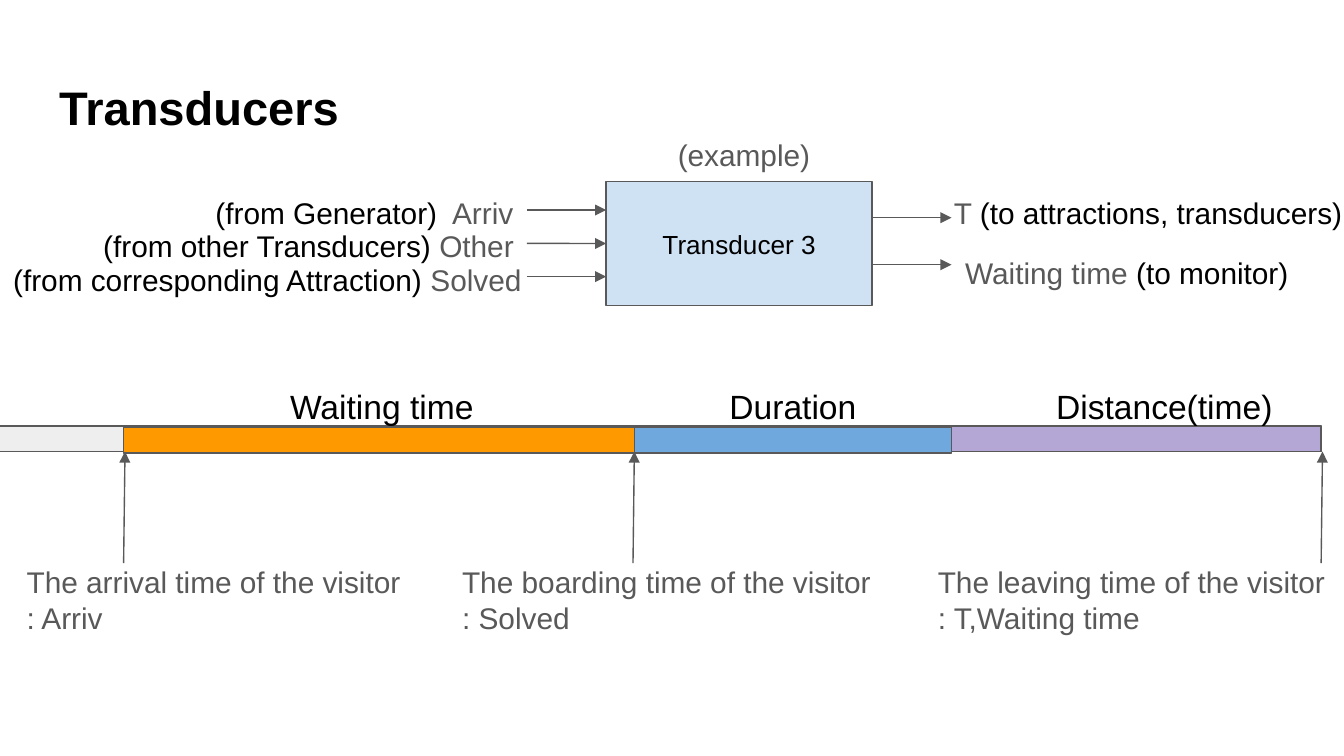
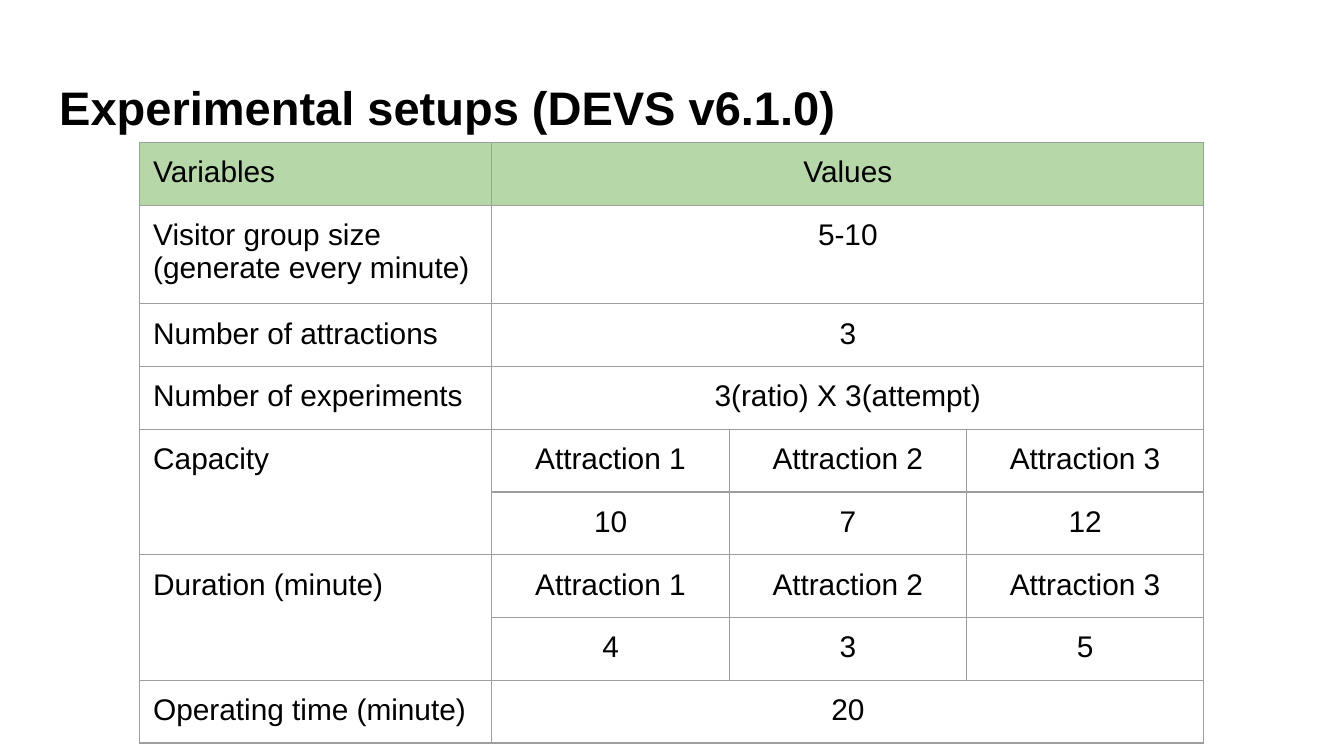
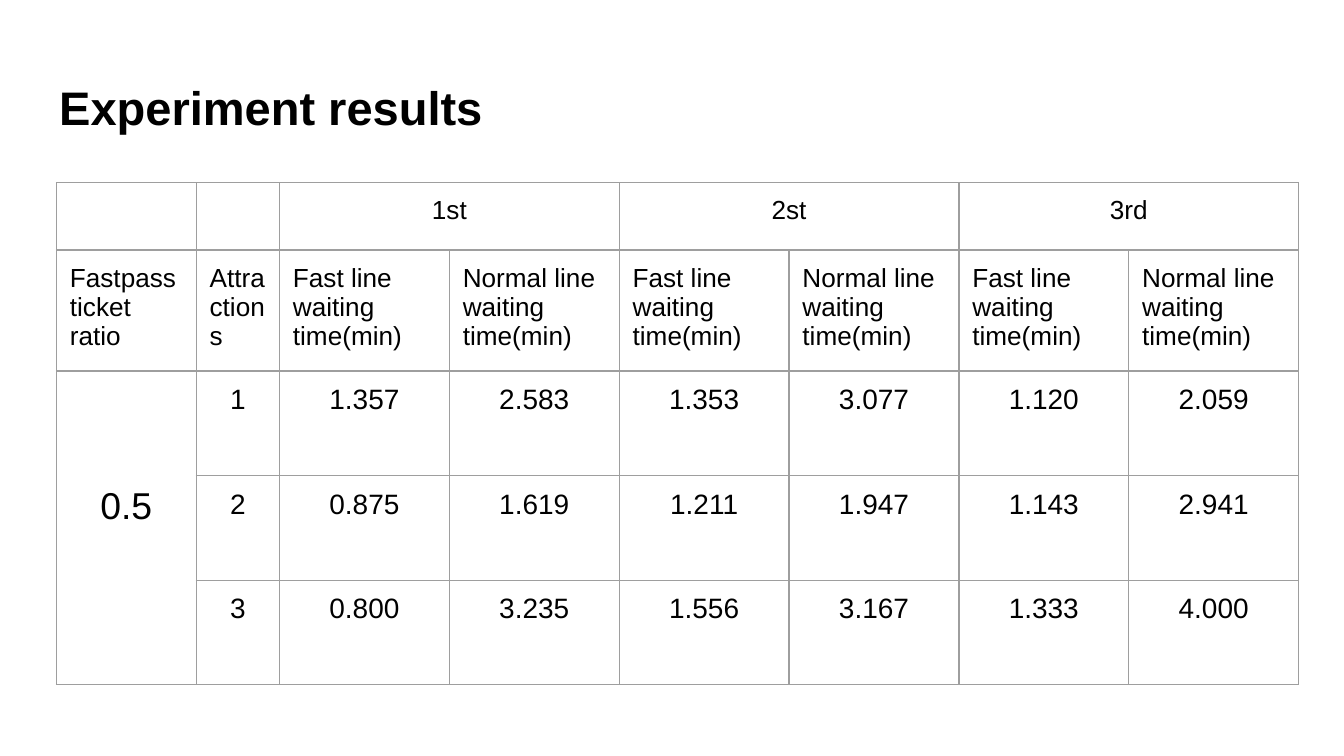
import lxml.etree
import pptx
import pptx.dml.color
import pptx.enum.shapes
import pptx.enum.text
import pptx.oxml
import pptx.oxml.ns
import pptx.util

COLORS = {
    "ink": "000000", "grey": "595959", "border": "9E9E9E", "past": "EEEEEE",
    "box": "CFE2F3", "wait": "FF9900", "ride": "6FA8DC", "walk": "B4A7D6",
    "header": "B6D7A8",
}
FONT = "Arial"
COLS, ROWS = 100, 56.25
WIDTH = pptx.util.Inches(10)
HEIGHT = WIDTH * 9 // 16
INSET = pptx.util.Inches(0.1)
LINE = pptx.util.Pt(0.75)
MARGINS = {"margin_left": INSET, "margin_right": INSET,
           "margin_top": INSET, "margin_bottom": INSET}
ALIGN = pptx.enum.text.PP_ALIGN
ANCHOR = pptx.enum.text.MSO_ANCHOR


def col(n):
    return round(WIDTH * n / COLS)


def row(n):
    return round(HEIGHT * n / ROWS)


def place(x, y, w, h):
    return col(x), row(y), col(w), row(h)


def rgb(name):
    return pptx.dml.color.RGBColor.from_string(COLORS[name])


def apply(obj, formats):
    for name, value in formats.items():
        setattr(obj, name, value)


def write(tf, paragraphs, size, align=ALIGN.LEFT, bold=False):
    for i, runs in enumerate(paragraphs):
        p = tf.paragraphs[0] if i == 0 else tf.add_paragraph()
        p.alignment = align
        for text, color in runs:
            r = p.add_run()
            r.text = text
            apply(r.font, {"name": FONT, "size": pptx.util.Pt(size), "bold": bold})
            r.font.color.rgb = rgb(color)


def add_text(s, at, paragraphs, size=16, bold=False):
    tf = s.shapes.add_textbox(*place(*at)).text_frame
    apply(tf, {**MARGINS, "word_wrap": True, "vertical_anchor": ANCHOR.TOP})
    write(tf, paragraphs, size, bold=bold)


def add_box(s, at, fill, label=None):
    sp = s.shapes.add_shape(pptx.enum.shapes.MSO_SHAPE.RECTANGLE, *place(*at))
    sp.shadow.inherit = False
    sp.fill.solid()
    sp.fill.fore_color.rgb = rgb(fill)
    sp.line.color.rgb = rgb("grey")
    sp.line.width = LINE
    if label:
        apply(sp.text_frame, {**MARGINS, "word_wrap": True,
                              "vertical_anchor": ANCHOR.MIDDLE})
        write(sp.text_frame, [[(label, "ink")]], 14, ALIGN.CENTER)
    return sp


def add_arrow(s, x1, y1, x2, y2):
    cx = s.shapes.add_connector(pptx.enum.shapes.MSO_CONNECTOR.STRAIGHT,
                                col(x1), row(y1), col(x2), row(y2))
    cx.line.color.rgb = rgb("grey")
    cx.line.width = LINE
    qn = pptx.oxml.ns.qn
    lxml.etree.SubElement(cx.line._get_or_add_ln(), qn("a:tailEnd"), type="triangle")
    lxml.etree.SubElement(cx._element.spPr, qn("a:effectLst"))
    return cx


def add_borders(cell):
    tc_pr = cell._tc.get_or_add_tcPr()
    for i, side in enumerate("LRTB"):
        tc_pr.insert(i, pptx.oxml.parse_xml(
            f'<a:ln{side} {pptx.oxml.ns.nsdecls("a")} w="{LINE}"><a:solidFill>'
            f'<a:srgbClr val="{COLORS["border"]}"/></a:solidFill></a:ln{side}>'))


def add_grid(s, x, y, widths, heights, spans, size):
    at = place(x, y, sum(widths), sum(heights))
    table = s.shapes.add_table(len(heights), len(widths), *at).table
    apply(table, {"first_row": False, "horz_banding": False})
    for c, w in zip(table.columns, widths):
        c.width = col(w)
    for r, h in zip(table.rows, heights):
        r.height = row(h)
    for r, c, down, across in spans:
        table.cell(r, c).merge(table.cell(r + down - 1, c + across - 1))
    for cell in table.iter_cells():
        apply(cell, MARGINS)
        cell.fill.background()
        add_borders(cell)
        if cell.is_spanned:
            p = cell.text_frame.paragraphs[0]._p
            lxml.etree.SubElement(p, pptx.oxml.ns.qn("a:endParaRPr"), sz=str(size * 100))
    return table


def fill_row(table, r, texts, size, aligns):
    for c, (text, align) in enumerate(zip(texts, aligns)):
        if text:
            lines = [[(line, "ink")] for line in text.split("\n")]
            write(table.cell(r, c).text_frame, lines, size, align)


def add_slide(prs, title):
    s = prs.slides.add_slide(prs.slide_layouts[6])
    add_text(s, (3.42, 4.85, 93.2, 6.3), [[(title, "ink")]], 25.2, True)
    return s


def add_transducer(s):
    left, right, reach = 45.1, 64.9, 5.9
    box = add_box(s, (left, 13.5, right - left, 9.25), "box", "Transducer 3")
    inputs = [
        (15.05, 25, "(from Generator) ", " Arriv"),
        (6.7, 33.3, "(from other Transducers)", " Other"),
        (0, 41.7, "(from corresponding Attraction) ", "Solved"),
    ]
    for i, (x, w, source, port) in enumerate(inputs):
        y = 13.5 + 2.48 * i
        add_text(s, (x, y, w, 4.3), [[(source, "ink"), (port, "grey")]])
        cx = add_arrow(s, left - reach, y + 2.13, left, y + 2.13)
        if i == 1:
            cx.end_connect(box, 1)
    outputs = [
        (70, 13.5, 34.6, 16.2, "T ", "(to attractions, transducers)"),
        (70.83, 17.95, 33.3, 19.7, "Waiting time ", "(to monitor)"),
    ]
    for x, y, w, arrow_y, port, target in outputs:
        add_text(s, (x, y, w, 4.3), [[(port, "grey"), (target, "ink")]])
        add_arrow(s, right, arrow_y, right + reach, arrow_y)
    add_text(s, (49.45, 9.2, 14.6, 2.9), [[("(example)", "grey")]])


def add_timeline(s):
    top, thick = 31.7, 1.9
    start, arrival, boarding, landing, leaving = -0.6, 9.2, 47.2, 70.8, 98.3
    bars = [
        (start, leaving, top, "past"),
        (arrival, boarding, top + 0.1, "wait"),
        (boarding, landing, top + 0.1, "ride"),
        (landing, leaving, top, "walk"),
    ]
    for x1, x2, y, fill in bars:
        add_box(s, (x1, y, x2 - x1, thick), fill)
    phases = [(20.6, "Waiting time"), (52.6, " Duration"), (77.6, "Distance(time)")]
    for x, phase in phases:
        add_text(s, (x, 27.7, 18.3, 3.5), [[(phase, "ink")]], 18)
    events = [
        (arrival, 1, 31.6, "arrival", "Arriv"),
        (boarding - 0.1, 33.4, 34.6, "boarding", "Solved"),
        (leaving, 68.8, 34.6, "leaving", "T,Waiting time"),
    ]
    for stop, x, w, event, ports in events:
        add_arrow(s, stop, 41.9, stop + 0.1, top + thick)
        add_text(s, (x, 40.92, w, 10), [
            [(f"The {event} time of the visitor", "grey")],
            [(f": {ports}", "grey")],
        ])


def add_setups(s):
    names = [f"Attraction {n}" for n in (1, 2, 3)]
    rows = [
        ["Variables", "Values"],
        ["Visitor group size\n(generate every minute)", "5-10"],
        ["Number of attractions", "3"],
        ["Number of experiments", "3(ratio) X 3(attempt)"],
        ["Capacity", *names],
        ["", "10", "7", "12"],
        ["Duration (minute)", *names],
        ["", "4", "3", "5"],
        ["Operating time (minute)", "20"],
    ]
    spans = [(r, 1, 1, 3) for r, texts in enumerate(rows) if len(texts) == 2]
    spans += [(r - 1, 0, 2, 1) for r, texts in enumerate(rows) if not texts[0]]
    table = add_grid(s, 10.4, 10.6, [26.2] + [17.66] * 3, [4.2] * len(rows), spans, 16)
    for r, texts in enumerate(rows):
        fill_row(table, r, texts, 16, [ALIGN.LEFT] + [ALIGN.CENTER] * 3)
    for cell in table.rows[0].cells:
        cell.fill.solid()
        cell.fill.fore_color.rgb = rgb("header")


def add_results(s):
    spans = [(0, c, 1, 2) for c in (2, 4, 6)] + [(2, 0, 3, 1)]
    table = add_grid(s, 4.2, 13.6, [10.4, 6.2] + [12.64] * 6,
                     [4.2] * 2 + [7.78] * 3, spans, 14)
    center, left = [ALIGN.CENTER] * 8, [ALIGN.LEFT] * 8
    lines = [f"{kind} line waiting time(min)" for kind in ("Fast", "Normal")]
    fill_row(table, 0, ["", "", "1st", "", "2st", "", "3rd", ""], 14, center)
    fill_row(table, 1, ["Fastpass ticket ratio", "Attractions"] + lines * 3, 14, left)
    times = [
        ["1.357", "2.583", "1.353", "3.077", "1.120", "2.059"],
        ["0.875", "1.619", "1.211", "1.947", "1.143", "2.941"],
        ["0.800", "3.235", "1.556", "3.167", "1.333", "4.000"],
    ]
    for n, values in enumerate(times, 1):
        fill_row(table, n + 1, ["", str(n), *values], 15, center)
    ratio = table.cell(2, 0)
    ratio.margin_top = pptx.util.Inches(0.85)
    write(ratio.text_frame, [[("0.5", "ink")]], 20, ALIGN.CENTER)


def main():
    prs = pptx.Presentation()
    apply(prs, {"slide_width": WIDTH, "slide_height": HEIGHT})
    s = add_slide(prs, "Transducers")
    add_transducer(s)
    add_timeline(s)
    add_setups(add_slide(prs, "Experimental setups (DEVS v6.1.0)"))
    add_results(add_slide(prs, "Experiment results"))
    prs.save("out.pptx")


if __name__ == "__main__":
    main()
